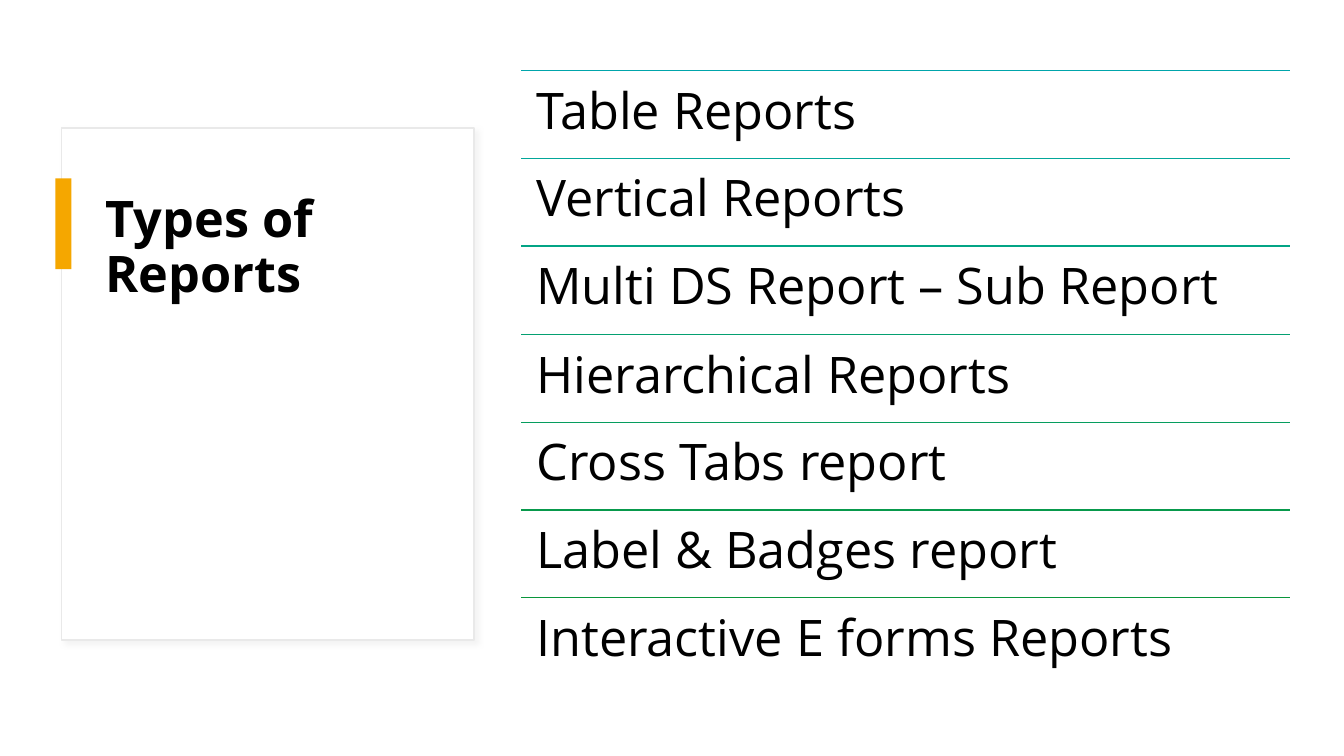
from lxml import etree
from pptx import Presentation
from pptx.dml.color import RGBColor
from pptx.enum.shapes import MSO_CONNECTOR, MSO_SHAPE
from pptx.enum.text import MSO_ANCHOR
from pptx.oxml.ns import qn
from pptx.util import Emu, Pt

RECTANGLE = MSO_SHAPE.RECTANGLE
STRAIGHT = MSO_CONNECTOR.STRAIGHT
TOP = MSO_ANCHOR.TOP
EMU_PER_PX = 9144  # 100 px to the inch

REPORTS = [
    ("Table Reports", "00A5AB"),
    ("Vertical Reports", "02A79A"),
    ("Multi DS Report – Sub Report", "03A485"),
    ("Hierarchical Reports", "05A071"),
    ("Cross Tabs report", "069D5E"),
    ("Label & Badges report", "08994C"),
    ("Interactive E forms Reports", "09963B"),
]
LIST_LEFT, LIST_TOP, LIST_WIDTH = 517, 70, 762
LAST_ROW_OFFSET = 523
ROW_HEIGHT = 87


def px(length):
    return Emu(length * EMU_PER_PX)


def color(hex_string):
    return RGBColor.from_string(hex_string)


class SlideBuilder:
    font = "Open Sans"
    size = 36
    text_color = "000000"

    def __init__(self, slide):
        self.slide = slide

    def box(self, left, top, width, height, fill, outline=None):
        shape = self.slide.shapes.add_shape(
            RECTANGLE, px(left), px(top), px(width), px(height))
        shape.shadow.inherit = False
        shape.fill.solid()
        shape.fill.fore_color.rgb = color(fill)
        if outline:
            shape.line.color.rgb = color(outline)
            shape.line.width = Pt(1)
        else:
            shape.line.fill.background()
        return shape

    def soft_shadow(self, shape, shadow_color):
        """Give the shape a faint shadow to the lower right."""
        effects = shape._element.spPr.find(qn("a:effectLst"))
        shadow = etree.SubElement(
            effects, qn("a:outerShdw"), blurRad=str(Pt(4)), dist=str(Pt(3)),
            dir="2700000", algn="tl", rotWithShape="0")
        tint = etree.SubElement(shadow, qn("a:srgbClr"), val=shadow_color)
        etree.SubElement(tint, qn("a:alpha"), val="30000")

    def rule(self, left, top, width, line_color):
        connector = self.slide.shapes.add_connector(
            STRAIGHT, px(left), px(top), px(left + width), px(top))
        connector.line.color.rgb = color(line_color)
        connector.line.width = Pt(1)
        etree.SubElement(connector._element.spPr, qn("a:effectLst"))

    def text(self, left, top, width, height, words, inset, bold=False, spacing=0.9):
        shape = self.slide.shapes.add_textbox(
            px(left), px(top), px(width), px(height))
        frame = shape.text_frame
        frame.word_wrap = True
        frame.vertical_anchor = TOP
        frame.margin_left = frame.margin_right = px(inset[0])
        frame.margin_top = frame.margin_bottom = px(inset[1])
        paragraph = frame.paragraphs[0]
        paragraph.line_spacing = spacing
        run = paragraph.add_run()
        run.text = words
        run.font.name = self.font
        run.font.size = Pt(self.size)
        run.font.bold = bold
        run.font.color.rgb = color(self.text_color)


def main():
    presentation = Presentation()
    presentation.slide_width, presentation.slide_height = px(1333), px(750)
    builder = SlideBuilder(
        presentation.slides.add_slide(presentation.slide_layouts[6]))

    card = builder.box(61, 127, 409, 508, "FFFFFF", outline="E9E9E9")
    builder.soft_shadow(card, "D9D9D9")
    builder.text(95, 188, 339, 385, "Types of Reports", (10, 5), bold=True)
    builder.box(55, 177, 16, 90, "F5A700")

    for index, (report, line_color) in enumerate(REPORTS):
        top = LIST_TOP + round(index * LAST_ROW_OFFSET / (len(REPORTS) - 1))
        builder.rule(LIST_LEFT, top, LIST_WIDTH, line_color)
        builder.text(LIST_LEFT, top, LIST_WIDTH, ROW_HEIGHT, report, (15, 15))

    presentation.save("out.pptx")


if __name__ == "__main__":
    main()
